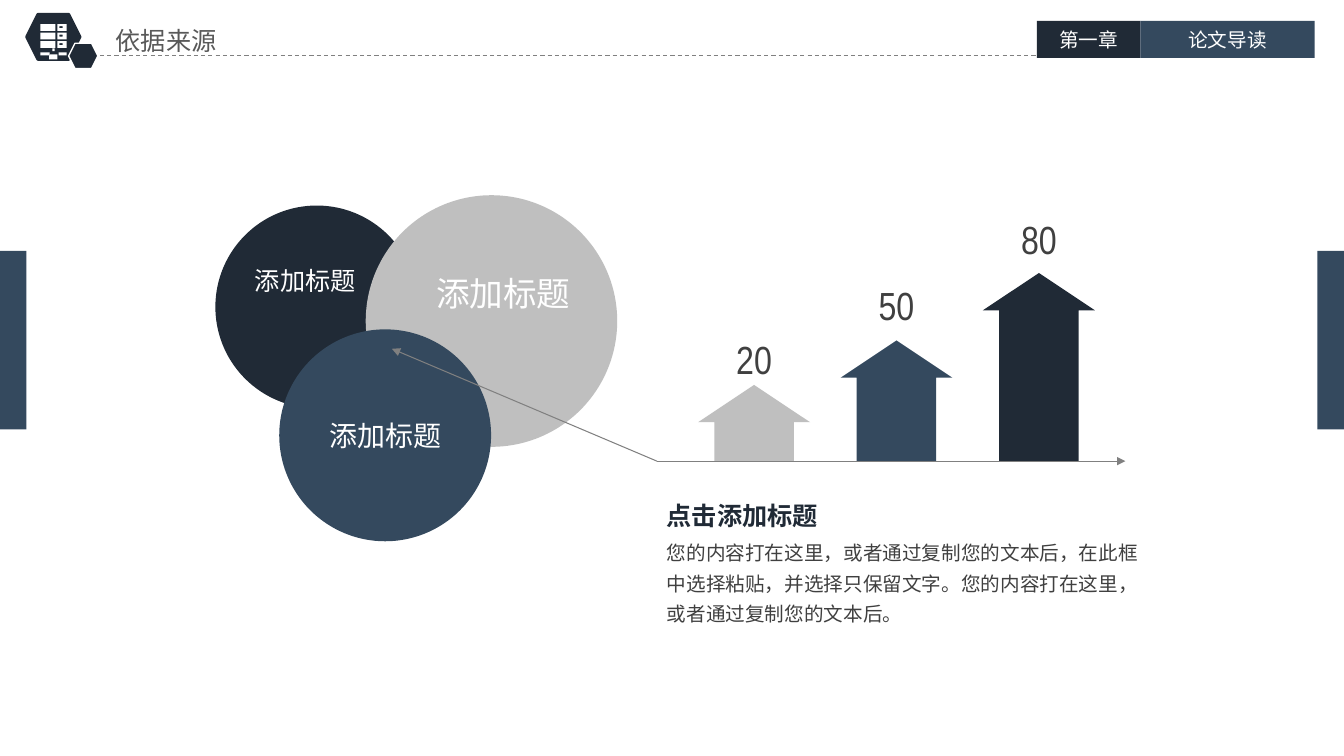
from dataclasses import dataclass
from typing import NamedTuple

from pptx import Presentation
from pptx.dml.color import RGBColor
from pptx.enum.dml import MSO_LINE
from pptx.enum.shapes import MSO_CONNECTOR, MSO_SHAPE
from pptx.enum.text import MSO_ANCHOR, PP_ALIGN
from pptx.oxml.ns import qn
from pptx.util import Cm, Pt
from lxml.etree import SubElement


@dataclass(frozen=True)
class Theme:
    """Colours, fonts and type sizes of the slide."""
    navy: str = "202A36"
    blue: str = "34495E"
    silver: str = "BFBFBF"
    rule: str = "808080"
    title: str = "595959"
    body: str = "404040"
    white: str = "FFFFFF"
    cjk: str = "Noto Sans CJK SC"
    digits: str = "Arial Narrow"
    display: str = "TeX Gyre Adventor"
    small: int = 14
    medium: int = 18
    large: int = 20
    huge: int = 24
    number: int = 28


THEME = Theme()
SLIDE_WIDTH, SLIDE_HEIGHT = 33.88, 19.05


class Box(NamedTuple):
    """A region in centimetres."""
    left: float
    top: float
    width: float
    height: float

    def inner(self, x, y, width, height):
        """Return a box offset from this one."""
        return Box(self.left + x, self.top + y, width, height)

    def lengths(self):
        """Return the four measures as lengths."""
        return [Cm(measure) for measure in self]


def apply(target, formats):
    """Set each format value on the target."""
    for name, value in formats.items():
        setattr(target, name, value)


def write(shape, wording, size, color, font=THEME.cjk, bold=False,
          align=PP_ALIGN.CENTER, spacing=None, **frame_formats):
    """Put one formatted paragraph into a shape."""
    frame = shape.text_frame
    apply(frame, {"word_wrap": True, "vertical_anchor": MSO_ANCHOR.MIDDLE} | frame_formats)
    paragraph = frame.paragraphs[0]
    apply(paragraph, {"alignment": align, "line_spacing": spacing})
    run = paragraph.add_run()
    run.text = wording
    apply(run.font, {"size": Pt(size), "bold": bold, "name": font})
    run.font.color.rgb = RGBColor.from_string(color)
    SubElement(run.font._element, qn("a:ea"), typeface=font)


def add_text(slide, box, wording, size, color, **formats):
    """Add a text box."""
    write(slide.shapes.add_textbox(*box.lengths()), wording, size, color, **formats)


def paint(shape, fill, outline=None, weight=0):
    """Give a shape a flat fill and an optional outline."""
    shape.shadow.inherit = False
    shape.fill.solid()
    shape.fill.fore_color.rgb = RGBColor.from_string(fill)
    if outline:
        shape.line.color.rgb = RGBColor.from_string(outline)
        shape.line.width = Pt(weight)
    else:
        shape.line.fill.background()


def add_block(slide, preset, box, fill, outline=None, weight=0):
    """Add a painted preset shape."""
    block = slide.shapes.add_shape(preset, *box.lengths())
    paint(block, fill, outline, weight)
    return block


def add_rule(slide, start, end, dash=None, arrow=None):
    """Add a thin grey line with an optional arrowhead."""
    ends = [Cm(measure) for measure in (*start, *end)]
    rule = slide.shapes.add_connector(MSO_CONNECTOR.STRAIGHT, *ends)
    rule.line.color.rgb = RGBColor.from_string(THEME.rule)
    apply(rule.line, {"width": Pt(0.75), "dash_style": dash})
    properties = rule.element.spPr
    if arrow:
        SubElement(properties.find(qn("a:ln")), qn(arrow), type="triangle")
    SubElement(properties, qn("a:effectLst"))


def draw_server(slide, box):
    """Draw the server rack icon as one outline."""
    panels = [(0.22, 0.76, 0.21, 0.13), (0, 0.71, 0.23, 0.08),
              (0.46, 0.71, 0.2, 0.08), (0.3, 0.61, 0.06, 0.07)]
    for row in range(3):
        y = row * 0.215
        panels += [(0, y, 0.38, 0.17), (0.43, y, 0.23, 0.17), (0.48, y + 0.05, 0.08, 0.05)]
    contours = []
    for panel in panels:
        left, top, width, height = box.inner(*panel).lengths()
        contours.append([(left, top), (left + width, top),
                         (left + width, top + height), (left, top + height)])
    outline = slide.shapes.build_freeform(*contours[0][0], scale=1.0)
    outline.add_line_segments(contours[0][1:], close=True)
    for corner, *others in contours[1:]:
        outline.move_to(*corner)
        outline.add_line_segments(others, close=True)
    paint(outline.convert_to_shape(), THEME.white)


def draw_header(slide, box):
    """Draw the emblem, title, dashed rule and chapter tags."""
    add_text(slide, box.inner(2.74, 0.53, 5.21, 0.97), "依据来源", THEME.medium, THEME.title,
             align=PP_ALIGN.LEFT, margin_left=Cm(0.18), margin_right=Cm(0.18))
    add_block(slide, MSO_SHAPE.HEXAGON, box.inner(0.67, 0.36, 1.35, 1.14),
              THEME.navy, THEME.navy, 2)
    rule_y = box.top + 1.4
    add_rule(slide, (box.left + 2.34, rule_y), (box.left + 26.14, rule_y), MSO_LINE.DASH)
    add_block(slide, MSO_SHAPE.HEXAGON, box.inner(1.73, 1.09, 0.74, 0.64),
              THEME.navy, THEME.white, 1)
    draw_server(slide, box.inner(1.02, 0.61, 0.66, 0.82))
    tags = [("第一章", 26.14, 2.61, THEME.navy), ("论文导读", 28.75, 4.39, THEME.blue)]
    for wording, x, width, fill in tags:
        tag = add_block(slide, MSO_SHAPE.RECTANGLE, box.inner(x, 0.53, width, 0.93), fill)
        write(tag, wording, THEME.small, THEME.white)


def draw_side_tabs(slide, box):
    """Draw a tab at each side of the box."""
    width = 0.67
    for x in (0, box.width - width):
        add_block(slide, MSO_SHAPE.RECTANGLE, box.inner(x, 0, width, box.height), THEME.blue)


def draw_circles(slide, box):
    """Draw the three overlapping titled circles."""
    top = MSO_ANCHOR.TOP
    circles = [
        (0, 0.26, 5.11, THEME.navy, THEME.medium,
         {"align": PP_ALIGN.LEFT, "vertical_anchor": top, "margin_top": Cm(0.77)}),
        (3.79, 0, 6.34, THEME.silver, THEME.huge,
         {"align": PP_ALIGN.RIGHT, "vertical_anchor": top, "margin_top": Cm(1.03)}),
        (1.61, 3.38, 5.34, THEME.blue, THEME.large, {}),
    ]
    for x, y, diameter, fill, size, formats in circles:
        circle = add_block(slide, MSO_SHAPE.OVAL, box.inner(x, y, diameter, diameter), fill)
        write(circle, "添加标题", size, THEME.white, **formats)


def draw_growth(slide, box):
    """Draw the rising arrows on their axis and the leader to the circles."""
    width, head, label_height = 2.82, 0.94, 1.45
    growth = [("20", 1.92, -0.08, THEME.silver), ("50", 3.04, 0.18, THEME.blue),
              ("80", 4.74, 0.13, THEME.navy)]
    for step, (value, height, gap, fill) in enumerate(growth):
        x, y = 1.04 + step * 3.59, box.height - height
        arrow = add_block(slide, MSO_SHAPE.UP_ARROW, box.inner(x, y, width, height), fill)
        arrow.adjustments[0] = 0.71
        arrow.adjustments[1] = head / min(width, height)
        add_text(slide, box.inner(x, y - gap - label_height, width, label_height),
                 value, THEME.number, THEME.body, font=THEME.digits)
    base = box.top + box.height
    add_rule(slide, (box.left - 6.68, box.top + 3.49), (box.left, base), arrow="a:headEnd")
    add_rule(slide, (box.left, base), (box.left + box.width, base), arrow="a:tailEnd")


def draw_caption(slide, box):
    """Write the heading and the paragraph below it."""
    shared = {"align": PP_ALIGN.LEFT, "vertical_anchor": MSO_ANCHOR.TOP}
    add_text(slide, box.inner(0, 0, 7.75, 0.86), "点击添加标题", THEME.medium, THEME.navy,
             font=THEME.display, bold=True, spacing=0.8, **shared)
    add_text(slide, box.inner(0, 0.71, box.width, box.height - 0.71),
             "您的内容打在这里，或者通过复制您的文本后，在此框中选择粘贴，并选择只保留文字。"
             "您的内容打在这里，或者通过复制您的文本后。",
             THEME.small, THEME.body, spacing=1.3, **shared)


def main():
    """Build and save the slide."""
    deck = Presentation()
    apply(deck, {"slide_width": Cm(SLIDE_WIDTH), "slide_height": Cm(SLIDE_HEIGHT)})
    slide = deck.slides.add_slide(deck.slide_layouts[6])
    draw_header(slide, Box(0, 0, SLIDE_WIDTH, 1.9))
    draw_side_tabs(slide, Box(0, 6.32, SLIDE_WIDTH, 4.5))
    draw_circles(slide, Box(5.43, 4.92, 10.13, 8.72))
    draw_growth(slide, Box(16.56, 5.3, 11.81, 6.32))
    draw_caption(slide, Box(16.56, 12.62, 12.78, 3.3))
    deck.save("out.pptx")


if __name__ == "__main__":
    main()
